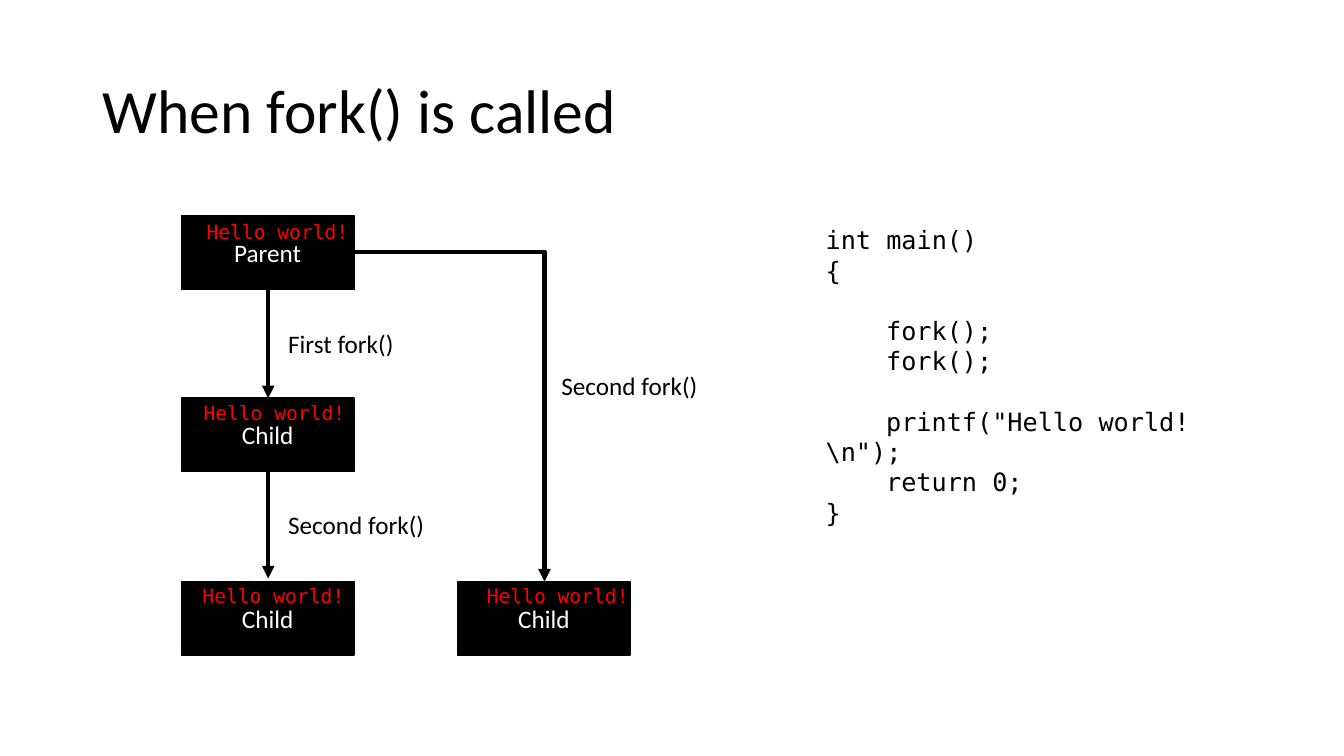
from lxml import etree
from pptx import Presentation
from pptx.dml.color import RGBColor
from pptx.enum.shapes import MSO_CONNECTOR, MSO_SHAPE
from pptx.enum.text import MSO_ANCHOR, PP_ALIGN
from pptx.oxml.ns import qn
from pptx.util import Emu, Pt

RECTANGLE = MSO_SHAPE.RECTANGLE
STRAIGHT, ELBOW = MSO_CONNECTOR.STRAIGHT, MSO_CONNECTOR.ELBOW
MIDDLE, TOP = MSO_ANCHOR.MIDDLE, MSO_ANCHOR.TOP
CENTER = PP_ALIGN.CENTER

BLACK = RGBColor(0x00, 0x00, 0x00)
WHITE = RGBColor(0xFF, 0xFF, 0xFF)
RED = RGBColor(0xFF, 0x00, 0x00)

PX = 9144  # 100 px to the inch
BOX_WIDTH, BOX_HEIGHT = 171, 73
CODE_INDENT = 60
CODE_LEADING = Pt(21.6)


def px(length):
    return Emu(length * PX)


class ForkSlide:
    body_font = "Calibri"
    code_font = "DejaVu Sans Mono"

    def __init__(self, presentation):
        self.slide = presentation.slides.add_slide(presentation.slide_layouts[6])

    def style(self, paragraph, size, color=BLACK, font=None):
        paragraph.font.size = Pt(size)
        paragraph.font.name = font or self.body_font
        paragraph.font.color.rgb = color

    def text(self, words, left, top, width, height, size=18, color=BLACK,
             font=None, wrap=True, anchor=TOP):
        box = self.slide.shapes.add_textbox(px(left), px(top), px(width), px(height))
        frame = box.text_frame
        frame.word_wrap = wrap
        frame.vertical_anchor = anchor
        paragraph = frame.paragraphs[0]
        paragraph.text = words
        self.style(paragraph, size, color, font)
        return paragraph

    def process(self, role, left, top):
        box = self.slide.shapes.add_shape(
            RECTANGLE, px(left), px(top), px(BOX_WIDTH), px(BOX_HEIGHT))
        box.shadow.inherit = False
        box.fill.solid()
        box.fill.fore_color.rgb = BLACK
        box.line.color.rgb = BLACK
        box.line.width = Pt(1)
        box.text_frame.vertical_anchor = MIDDLE
        paragraph = box.text_frame.paragraphs[0]
        paragraph.text = role
        paragraph.alignment = CENTER
        self.style(paragraph, 18, WHITE)

    def arrow(self, start, end):
        """Draw a straight arrow, or a single-bend one when the ends are not aligned."""
        bent = start[0] != end[0]
        arrow = self.slide.shapes.add_connector(
            ELBOW if bent else STRAIGHT, *map(px, start + end))
        arrow.line.color.rgb = BLACK
        arrow.line.width = Pt(3)
        properties = arrow._element.spPr
        if bent:
            properties.find(qn("a:prstGeom")).set("prst", "bentConnector2")
        etree.SubElement(arrow.line._get_or_add_ln(), qn("a:tailEnd"), type="triangle")
        etree.SubElement(properties, qn("a:effectLst"))

    def code(self, lines, left, top, width, height):
        """Set code from (indent level, blank lines before, statement) rows."""
        box = self.slide.shapes.add_textbox(px(left), px(top), px(width), px(height))
        frame = box.text_frame
        frame.word_wrap = True
        for number, (level, blanks, statement) in enumerate(lines):
            paragraph = frame.add_paragraph() if number else frame.paragraphs[0]
            paragraph.text = statement
            paragraph.line_spacing = CODE_LEADING
            paragraph.space_before = Emu(blanks * CODE_LEADING)
            paragraph._p.get_or_add_pPr().set("indent", str(px(level * CODE_INDENT)))
            self.style(paragraph, 18, font=self.code_font)


def main():
    presentation = Presentation()
    presentation.slide_width, presentation.slide_height = px(1333), px(750)
    slide = ForkSlide(presentation)

    title = slide.text("When fork() is called", 92, 40, 1150, 145, size=44, anchor=MIDDLE)
    title.line_spacing = 0.9

    processes = [
        ("Parent", 180, 214, 195, 213),
        ("Child", 180, 395, 192, 393),
        ("Child", 180, 577, 191, 574),
        ("Child", 454, 577, 473, 574),
    ]
    for role, left, top, _, _ in processes:
        slide.process(role, left, top)

    for start, end in [
        ((266, 287), (266, 395)),
        ((266, 465), (266, 574)),
        ((351, 250), (540, 577)),
    ]:
        slide.arrow(start, end)

    for call, left, top, width in [
        ("First fork()", 276, 321, 126),
        ("Second fork()", 276, 500, 157),
        ("Second fork()", 547, 362, 157),
    ]:
        slide.text(call, left, top, width, 40, wrap=False)

    for _, _, _, left, top in processes:
        slide.text("Hello world!", left, top, 162, 34, size=14, color=RED,
                   font=slide.code_font)

    slide.code([
        (0, 0, "int main()"),
        (0, 0, "{"),
        (1, 1, "fork();"),
        (1, 0, "fork();"),
        (1, 1, 'printf("Hello world!\\n");'),
        (1, 0, "return 0;"),
        (0, 0, "}"),
    ], 809, 218, 454, 313)

    presentation.save("out.pptx")


if __name__ == "__main__":
    main()
